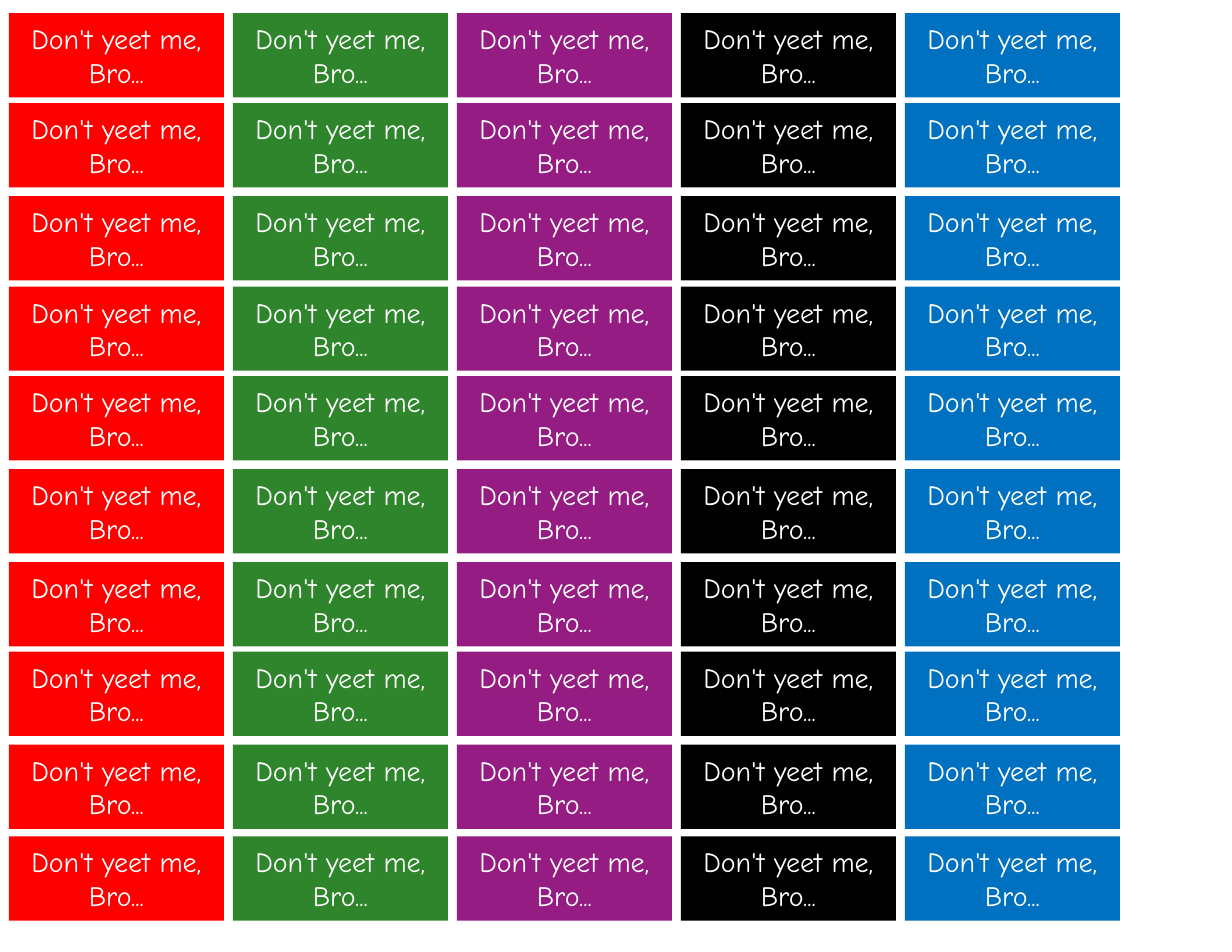
"""Build a sheet of coloured labels that all carry the same phrase."""
from dataclasses import dataclass
from itertools import product

from pptx import Presentation
from pptx.dml.color import RGBColor
from pptx.enum.shapes import MSO_SHAPE
from pptx.enum.text import MSO_ANCHOR, PP_ALIGN
from pptx.util import Cm, Pt


@dataclass(frozen=True)
class Theme:
    font: str = "Comic Neue"
    label_size: int = 18
    text: str = "FFFFFF"
    columns: tuple = ("FF0000", "2F852B", "941C83", "000000", "0070C0")


THEME = Theme()
PHRASE = "Don't yeet me, Bro..."
LABEL_WIDTH, LABEL_HEIGHT = 4.88, 1.91
FIRST_LEFT, COLUMN_STEP = 0.2, 5.08
ROW_TOPS = (0.3, 2.34, 4.45, 6.5, 8.53, 10.64, 12.75, 14.78, 16.89, 18.97)


def add_label(slide, left, top, color):
    label = slide.shapes.add_shape(
        MSO_SHAPE.RECTANGLE, Cm(left), Cm(top), Cm(LABEL_WIDTH), Cm(LABEL_HEIGHT)
    )
    label.shadow.inherit = False
    label.fill.solid()
    label.fill.fore_color.rgb = RGBColor.from_string(color)
    label.line.fill.background()
    write_phrase(label.text_frame)


def write_phrase(frame):
    frame.word_wrap = True
    frame.vertical_anchor = MSO_ANCHOR.MIDDLE
    phrase = frame.paragraphs[0]
    phrase.text = PHRASE
    phrase.alignment = PP_ALIGN.CENTER
    phrase.font.name = THEME.font
    phrase.font.size = Pt(THEME.label_size)
    phrase.font.color.rgb = RGBColor.from_string(THEME.text)


def main():
    sheet = Presentation()
    sheet.slide_width, sheet.slide_height = Cm(27.94), Cm(21.59)
    slide = sheet.slides.add_slide(sheet.slide_layouts[6])
    for (column, color), top in product(enumerate(THEME.columns), ROW_TOPS):
        add_label(slide, FIRST_LEFT + column * COLUMN_STEP, top, color)
    sheet.save("out.pptx")


main()
